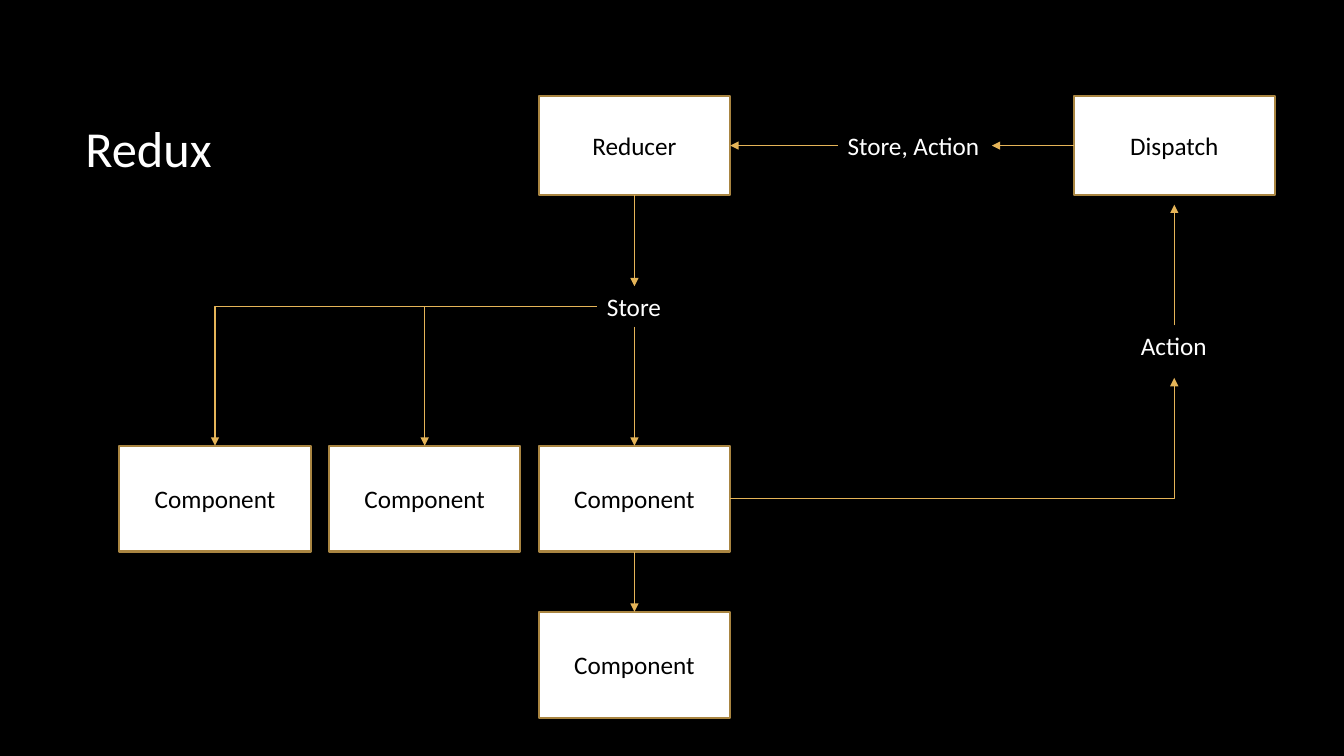
from dataclasses import dataclass

from lxml import etree
from pptx import Presentation
from pptx.dml.color import RGBColor
from pptx.enum.shapes import MSO_CONNECTOR, MSO_SHAPE
from pptx.enum.text import MSO_ANCHOR, MSO_AUTO_SIZE, PP_ALIGN
from pptx.oxml.ns import qn
from pptx.util import Pt

RECTANGLE = MSO_SHAPE.RECTANGLE
STRAIGHT, ELBOW = MSO_CONNECTOR.STRAIGHT, MSO_CONNECTOR.ELBOW
MIDDLE, CENTER = MSO_ANCHOR.MIDDLE, PP_ALIGN.CENTER
GROW = MSO_AUTO_SIZE.SHAPE_TO_FIT_TEXT
TOP, LEFT, BOTTOM, RIGHT = range(4)


@dataclass(frozen=True)
class Theme:
    font: str = "Calibri"
    background: RGBColor = RGBColor(0x00, 0x00, 0x00)
    light: RGBColor = RGBColor(0xFF, 0xFF, 0xFF)
    dark: RGBColor = RGBColor(0x00, 0x00, 0x00)
    border: RGBColor = RGBColor(0xA9, 0x85, 0x41)
    arrow: RGBColor = RGBColor(0xE5, 0xB4, 0x58)
    title_size: int = 36
    body_size: int = 18
    border_width: float = 1.5
    arrow_width: float = 0.75


class Diagram:
    def __init__(self, slide, theme):
        self.slide, self.theme = slide, theme
        slide.background.fill.solid()
        slide.background.fill.fore_color.rgb = theme.background

    def set_text(self, frame, text, size, color):
        frame.text = text
        font = frame.paragraphs[0].font
        font.name, font.size = self.theme.font, Pt(size)
        font.color.rgb = color

    def text_box(self, x, y, width, height):
        box = self.slide.shapes.add_textbox(Pt(x), Pt(y), Pt(width), Pt(height))
        return box.text_frame

    def title(self, text, x, y, width, height):
        frame = self.text_box(x, y, width, height)
        frame.word_wrap = True
        frame.vertical_anchor = MIDDLE
        self.set_text(frame, text, self.theme.title_size, self.theme.light)

    def label(self, text, center_x, center_y, width, height=29):
        frame = self.text_box(center_x - width / 2, center_y - height / 2, width, height)
        frame.word_wrap = False
        frame.auto_size = GROW
        self.set_text(frame, text, self.theme.body_size, self.theme.light)

    def node(self, text, center_x, y, width, height):
        box = self.slide.shapes.add_shape(
            RECTANGLE, Pt(center_x - width / 2), Pt(y), Pt(width), Pt(height))
        box.shadow.inherit = False
        box.fill.solid()
        box.fill.fore_color.rgb = self.theme.light
        box.line.color.rgb = self.theme.border
        box.line.width = Pt(self.theme.border_width)
        box.text_frame.vertical_anchor = MIDDLE
        self.set_text(box.text_frame, text, self.theme.body_size, self.theme.dark)
        box.text_frame.paragraphs[0].alignment = CENTER
        return box

    def arrow(self, start=(0, 0), end=(0, 0), source=None, target=None, kind=STRAIGHT):
        """source and target are (node, side) pairs that replace start and end."""
        line = self.slide.shapes.add_connector(kind, *map(Pt, start + end))
        if source:
            line.begin_connect(*source)
        if target:
            line.end_connect(*target)
        line.line.color.rgb = self.theme.arrow
        line.line.width = Pt(self.theme.arrow_width)
        properties = line._element.spPr
        etree.SubElement(properties.find(qn("a:ln")), qn("a:tailEnd"), type="triangle")
        etree.SubElement(properties, qn("a:effectLst"))
        return line

    def corner_arrow(self, start, end):
        """Runs across first, then turns once towards its end."""
        line = self.arrow(start, end, kind=ELBOW)
        line._element.spPr.find(qn("a:prstGeom")).set("prst", "bentConnector2")


def main():
    deck = Presentation()
    deck.slide_width, deck.slide_height = Pt(960), Pt(540)
    diagram = Diagram(deck.slides.add_slide(deck.slide_layouts[6]), Theme())

    # Shared columns and rows
    store_x, action_x, column_pitch = 453.2, 838.8, 149.8
    node_width, node_height, top_height = 136.8, 75.6, 70.8
    top_y, component_y, child_y = 68.6, 318.4, 437
    flow_y, store_y, action_y = top_y + top_height / 2, 218.9, 247
    store_left, half_label = 426.2, 14.5

    diagram.title("Redux", 54, 48, 798, 114.5)

    # Nodes
    reducer = diagram.node("Reducer", store_x, top_y, node_width, top_height)
    dispatch = diagram.node("Dispatch", action_x, top_y, 143.4, top_height)
    component_xs = [store_x - column_pitch * i for i in (2, 1, 0)]
    components = [diagram.node("Component", x, component_y, node_width, node_height)
                  for x in component_xs]
    child = diagram.node("Component", store_x, child_y, node_width, node_height)

    # Data passed between the nodes
    diagram.label("Store, Action", 653.4, flow_y, 110.2)
    diagram.label("Store", store_x, store_y, 53.4)
    diagram.label("Action", action_x, action_y, 62)

    # Dispatch to reducer to store
    diagram.arrow(end=(708.5, flow_y), source=(dispatch, LEFT))
    diagram.arrow(start=(598.3, flow_y), target=(reducer, RIGHT))
    diagram.arrow(end=(store_x, store_y - half_label), source=(reducer, BOTTOM))

    # Store to components
    diagram.arrow(start=(store_x, store_y + half_label), target=(components[-1], TOP))
    for x in component_xs[:-1]:
        diagram.corner_arrow((store_left, store_y), (x, component_y))
    diagram.arrow(source=(components[-1], BOTTOM), target=(child, TOP))

    # Component to action to dispatch
    diagram.corner_arrow((store_x + node_width / 2, component_y + node_height / 2),
                         (action_x, 270))
    diagram.arrow((action_x, action_y - half_label), (action_x, 146.2))

    deck.save("out.pptx")


if __name__ == "__main__":
    main()
